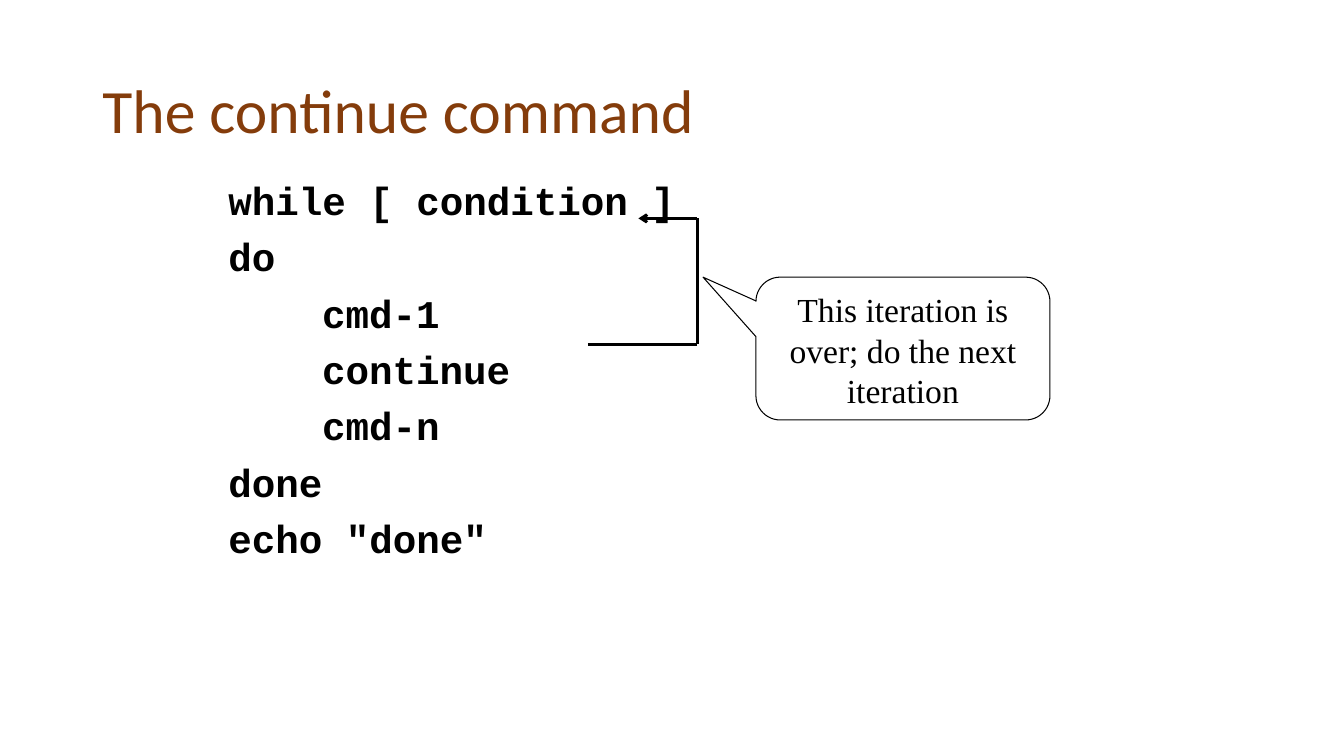
from itertools import pairwise

from pptx import Presentation
from pptx.dml.color import RGBColor
from pptx.enum.shapes import MSO_CONNECTOR, MSO_SHAPE
from pptx.enum.text import MSO_ANCHOR, MSO_AUTO_SIZE, PP_ALIGN
from pptx.oxml.xmlchemy import OxmlElement
from pptx.util import Inches, Pt

BROWN = RGBColor(0x84, 0x3C, 0x0B)
BLACK = RGBColor(0, 0, 0)
CALLOUT = MSO_SHAPE.ROUNDED_RECTANGULAR_CALLOUT
STRAIGHT = MSO_CONNECTOR.STRAIGHT
MIDDLE, TOP = MSO_ANCHOR.MIDDLE, MSO_ANCHOR.TOP
LEFT, CENTER = PP_ALIGN.LEFT, PP_ALIGN.CENTER
NO_FIT = MSO_AUTO_SIZE.NONE
COLS, ROWS = 160, 90
CODE = [
    (0, "while [ condition ]"),
    (0, "do"),
    (1, "cmd-1"),
    (1, "continue"),
    (1, "cmd-n"),
    (0, "done"),
    (0, 'echo "done"'),
]
LOOP = [(70, 41), (83, 41), (83, 26), (76, 26)]


class Board:
    def __init__(self, deck):
        self.slide = deck.slides.add_slide(deck.slide_layouts[1])
        self.col = deck.slide_width / COLS
        self.row = deck.slide_height / ROWS

    def spot(self, x, y):
        return round(x * self.col), round(y * self.row)

    def place(self, shape, x, y, width, height):
        shape.left, shape.top = self.spot(x, y)
        shape.width, shape.height = self.spot(width, height)

    def frame(self, shape, anchor):
        frame = shape.text_frame
        frame.word_wrap = True
        frame.auto_size = NO_FIT
        frame.vertical_anchor = anchor
        return frame

    def text(self, para, words, face, size, color, bold=False, align=LEFT):
        para.alignment = align
        run = para.add_run()
        run.text = words
        font = run.font
        font.name, font.size, font.bold = face, Pt(size), bold
        font.color.rgb = color

    def title(self, words, *box):
        shape = self.slide.shapes.title
        self.place(shape, *box)
        para = self.frame(shape, MIDDLE).paragraphs[0]
        para.line_spacing = 0.9
        self.text(para, words, "Calibri", 44, BROWN)

    def code(self, lines, *box):
        shape = self.slide.placeholders[1]
        self.place(shape, *box)
        frame = self.frame(shape, TOP)
        for index, (level, words) in enumerate(lines):
            para = frame.add_paragraph() if index else frame.paragraphs[0]
            para.line_spacing, para.space_before = 0.9, Pt(10)
            props = para._p.get_or_add_pPr()
            props.set("marL", str(Inches(0.25 + 0.93 * level)))
            props.set("indent", str(Inches(-0.25)))
            props.append(OxmlElement("a:buNone"))
            self.text(para, words, "Courier New", 28, BLACK, True)

    def callout(self, words, *box):
        shape = self.slide.shapes.add_shape(CALLOUT, 0, 0, 0, 0)
        self.place(shape, *box)
        for index, value in enumerate((-0.68, -0.5, 0.17)):
            shape.adjustments[index] = value
        shape.shadow.inherit = False
        shape.fill.background()
        shape.line.color.rgb, shape.line.width = BLACK, Pt(0.75)
        para = self.frame(shape, TOP).paragraphs[0]
        self.text(para, words, "Times New Roman", 24, BLACK, align=CENTER)

    def arrow(self, points):
        group = self.slide.shapes.add_group_shape()
        for start, end in pairwise(points):
            line = group.shapes.add_connector(
                STRAIGHT, *self.spot(*start), *self.spot(*end))
            line.line.color.rgb, line.line.width = BLACK, Pt(2)
            line._element.spPr.append(OxmlElement("a:effectLst"))
        tip = OxmlElement("a:tailEnd")
        tip.set("type", "arrow")
        line.line._get_or_add_ln().append(tip)


def main():
    deck = Presentation()
    deck.slide_width, deck.slide_height = Inches(13.33), Inches(7.5)
    board = Board(deck)
    board.title("The continue command", 11, 4.8, 138, 17.4)
    board.code(CODE, 26, 21, 98, 64)
    board.callout("This iteration is over; do the next iteration",
                  90, 33, 35, 17)
    board.arrow(LOOP)
    deck.save("out.pptx")


if __name__ == "__main__":
    main()
